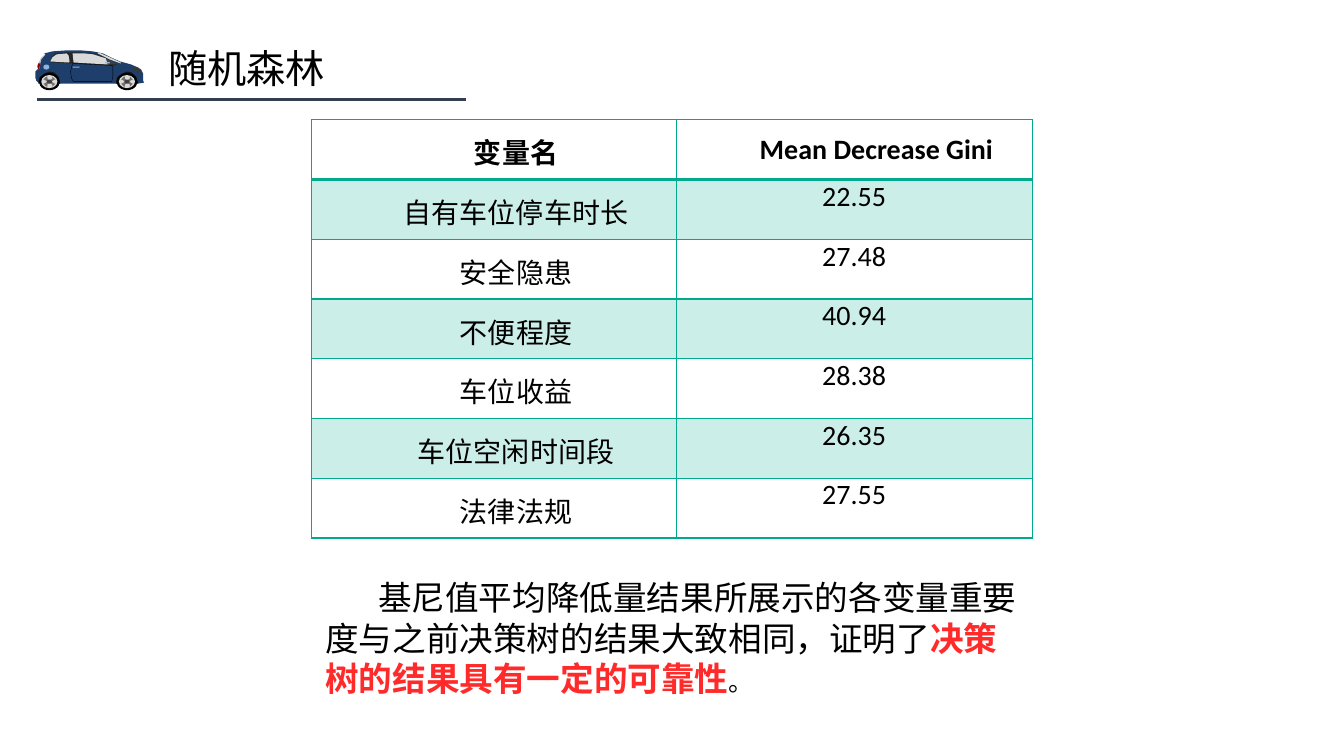
"""Build the random forest slide with its importance table and conclusion."""
from lxml import etree
from pptx import Presentation
from pptx import util as u
from pptx.dml.color import RGBColor
from pptx.enum import shapes, text
from pptx.oxml.ns import qn

COLORS = {
    "ink": "000000", "teal": "01AA8D", "red": "FF2B2A", "slate": "333F50",
    "navy": "1E3F6B", "sky": "91B3E0", "glass": "D9D9D9",
    "frame": "262626", "dark": "404040", "arch": "181717", "lamp": "3B3838",
    "spoke": "767171", "chrome": "BFBFBF", "brake": "940100",
}
LATIN, CHINESE = "Calibri", "Noto Sans CJK SC"
ROWS = [
    ("变量名", "Mean Decrease Gini"),
    ("自有车位停车时长", "22.55"),
    ("安全隐患", "27.48"),
    ("不便程度", "40.94"),
    ("车位收益", "28.38"),
    ("车位空闲时间段", "26.35"),
    ("法律法规", "27.55"),
]
CAR_UNIT = 0.0254
CAR_PANELS = [
    ("navy", [(44, 53), (52, 51), (66, 50), (80, 50), (92, 51), (102, 53), (110, 57), (119, 61),
              (130, 64), (137, 67), (140, 69), (142, 73), (142, 80), (143, 82), (137, 83),
              (115, 83), (85, 83), (60, 83), (38, 82), (36, 80), (35, 77), (35, 71),
              (39, 67), (40, 60), (45, 54)]),
    ("frame", [(55, 53), (65, 52), (80, 52), (94, 53), (102, 56), (112, 61), (116, 64),
               (114, 65), (50, 62), (51, 57)]),
    ("glass", [(72, 53), (84, 53), (93, 54), (99, 56), (105, 58), (107, 64), (73, 62)]),
    ("glass", [(56, 54), (66, 53), (68, 55), (69, 61), (68, 62), (50, 61), (52, 57)]),
    ("dark", [(106, 58), (115, 63), (115, 64), (107, 64)]),
    ("sky", [(105, 61), (109, 62), (109, 63), (104, 63)]),
    ("glass", [(98, 52), (107, 56), (120, 62), (120, 63), (109, 59), (97, 53)]),
    ("dark", [(119, 62), (120, 62), (123, 63), (121, 63)]),
    ("lamp", [(133, 67), (137, 68), (140, 70), (140, 72), (138, 72), (132, 69), (131, 68)]),
    ("chrome", [(45, 54), (41, 59), (39, 68), (38, 69), (38, 63), (41, 57)]),
    ("brake", [(38, 63), (40, 63), (39, 68), (38, 69), (37, 66)]),
]
CAR_DOOR = [(72, 63), (112, 65), (112, 75), (111, 81), (73, 81), (71, 78), (70, 71)]
WHEEL_ARCH = [(-11, 2), (-10, -4), (-5, -8), (0, -10), (5, -9), (9, -5), (11, 2)]
SPOKES = [(-2, -5), (-2, -3), (0, -1), (3, -3), (3, -5), (6, -2), (5, -2), (2, 0),
          (5, 2), (6, 2), (3, 5), (3, 3), (0, 1), (-2, 3), (-2, 5), (-3, 5),
          (-6, 2), (-5, 2), (-2, 0), (-5, -2), (-6, -2), (-3, -5)]


def color(name):
    """Return the named colour."""
    return RGBColor.from_string(COLORS[name])


def write(paragraph, words, size=20, font=LATIN, ink="ink", bold=False, align=None):
    """Add a formatted run to a paragraph."""
    if align is not None:
        paragraph.alignment = align
    run = paragraph.add_run()
    run.text = words
    run.font.size = u.Pt(size)
    run.font.bold = bold
    run.font.color.rgb = color(ink)
    run.font.name = font
    etree.SubElement(run.font._element, qn("a:ea"), typeface=CHINESE)


def place(shape, left, top, width, height):
    """Move and size a shape in centimetres."""
    shape.left, shape.top = u.Cm(left), u.Cm(top)
    shape.width, shape.height = u.Cm(width), u.Cm(height)


def add_title(slide, words):
    """Fill and place the title placeholder."""
    title = slide.shapes.title
    place(title, 3.98, 0.99, 11.66, 1.45)
    frame = title.text_frame
    frame.auto_size = text.MSO_AUTO_SIZE.NONE
    frame.vertical_anchor = text.MSO_ANCHOR.TOP
    write(frame.paragraphs[0], words, size=28, font=CHINESE, align=text.PP_ALIGN.LEFT)


def add_rule(slide):
    """Draw the line under the title."""
    rule = slide.shapes.add_connector(
        shapes.MSO_CONNECTOR.STRAIGHT, u.Cm(0.94), u.Cm(2.51), u.Cm(11.75), u.Cm(2.51))
    rule.line.color.rgb = color("slate")
    rule.line.width = u.Pt(2)
    etree.SubElement(rule._element.spPr, qn("a:effectLst"))


def paint(shape, fill):
    """Give a shape a plain fill without outline or shadow."""
    shape.shadow.inherit = False
    shape.fill.solid()
    shape.fill.fore_color.rgb = color(fill)
    shape.line.fill.background()


def add_panel(car, fill, points):
    """Draw a closed outline of the car."""
    builder = car.shapes.build_freeform(*points[0], scale=u.Cm(CAR_UNIT))
    builder.add_line_segments(points[1:], close=True)
    panel = builder.convert_to_shape()
    paint(panel, fill)
    return panel


def add_preset(car, fill, center, width, height, kind=shapes.MSO_SHAPE.OVAL):
    """Draw a preset part of the car around its centre."""
    box = (center[0] - width / 2, center[1] - height / 2, width, height)
    part = car.shapes.add_shape(kind, *(u.Cm(length * CAR_UNIT) for length in box))
    paint(part, fill)
    return part


def add_wheel(car, x, y):
    """Draw a wheel with its arch, tyre, rim and hub."""
    add_panel(car, "arch", [(x + dx, y + dy) for dx, dy in WHEEL_ARCH])
    add_preset(car, "ink", (x, y), 21, 17)
    add_preset(car, "glass", (x, y), 16, 13)
    add_panel(car, "spoke", [(x + dx, y + dy) for dx, dy in SPOKES])
    add_preset(car, "dark", (x, y), 5, 4)


def add_car(slide):
    """Draw the small car beside the title."""
    car = slide.shapes.add_group_shape()
    for fill, points in CAR_PANELS:
        add_panel(car, fill, points)
    door = add_panel(car, "navy", CAR_DOOR)
    door.line.color.rgb = color("ink")
    door.line.width = u.Pt(0.25)
    handle = add_preset(car, "sky", (75.5, 66.5), 7, 1, shapes.MSO_SHAPE.ROUNDED_RECTANGLE)
    handle.adjustments[0] = 0.5
    add_preset(car, "sky", (46, 66.5), 6, 5)
    for x in (49, 126):
        add_wheel(car, x, 81)


def add_border(cell, side, width):
    """Draw one teal border of a cell."""
    line = etree.SubElement(
        cell._tc.get_or_add_tcPr(), qn(f"a:ln{side}"), w=str(u.Pt(width)))
    fill = etree.SubElement(line, qn("a:solidFill"))
    etree.SubElement(fill, qn("a:srgbClr"), val=COLORS["teal"])


def format_cell(cell, words, row, column):
    """Write a cell and set its margins, borders and fill."""
    header = row == 0
    roomy = header or column == 0
    cell.margin_left, cell.margin_right = u.Cm(1.12 if roomy else 0), 0
    cell.margin_top = u.Cm(0.28 if roomy else 0)
    cell.margin_bottom = u.Cm(0.18 if column == 0 else 0.28 if header else 0)
    cell.vertical_anchor = text.MSO_ANCHOR.MIDDLE if roomy else text.MSO_ANCHOR.TOP
    write(cell.text_frame.paragraphs[0], words, bold=header, align=text.PP_ALIGN.CENTER)
    for side in "LRTB":
        add_border(cell, side, 2 if (row, side) in ((0, "B"), (1, "T")) else 1)
    if row % 2:
        cell.fill.solid()
        cell.fill.fore_color.rgb = color("teal")
        tint = cell._tc.tcPr.find(qn("a:solidFill"))[0]
        etree.SubElement(tint, qn("a:alpha"), val="20000")
    else:
        cell.fill.background()


def add_importance_table(slide):
    """Add the table of variable importance."""
    table = slide.shapes.add_table(
        len(ROWS), 2, u.Cm(7.85), u.Cm(3.02), u.Cm(18.16), u.Cm(10.54)).table
    table.first_row = table.horz_banding = False
    for column, width in zip(table.columns, (9.19, 8.97)):
        column.width = u.Cm(width)
    for i, values in enumerate(ROWS):
        for j, words in enumerate(values):
            format_cell(table.cell(i, j), words, i, j)


def add_conclusion(slide):
    """Add the paragraph below the table."""
    box = slide.shapes.add_textbox(u.Cm(7.95), u.Cm(14.42), u.Cm(17.96), u.Cm(3.33))
    box.text_frame.word_wrap = True
    paragraph = box.text_frame.paragraphs[0]
    paragraph._p.get_or_add_pPr().set("indent", str(u.Cm(1.33)))
    write(paragraph, "基尼值平均降低量结果所展示的各变量重要度与之前决策树的结果大致相同，证明了",
          size=24, font=CHINESE)
    write(paragraph, "决策树的结果具有一定的可靠性", size=24, font=CHINESE, ink="red", bold=True)
    write(paragraph, "。", size=18, font=CHINESE)


def main():
    """Build and save the presentation."""
    presentation = Presentation()
    presentation.slide_width, presentation.slide_height = u.Cm(33.87), u.Cm(19.05)
    slide = presentation.slides.add_slide(presentation.slide_layouts[5])
    add_title(slide, "随机森林")
    add_importance_table(slide)
    add_conclusion(slide)
    add_car(slide)
    add_rule(slide)
    presentation.save("out.pptx")


if __name__ == "__main__":
    main()
